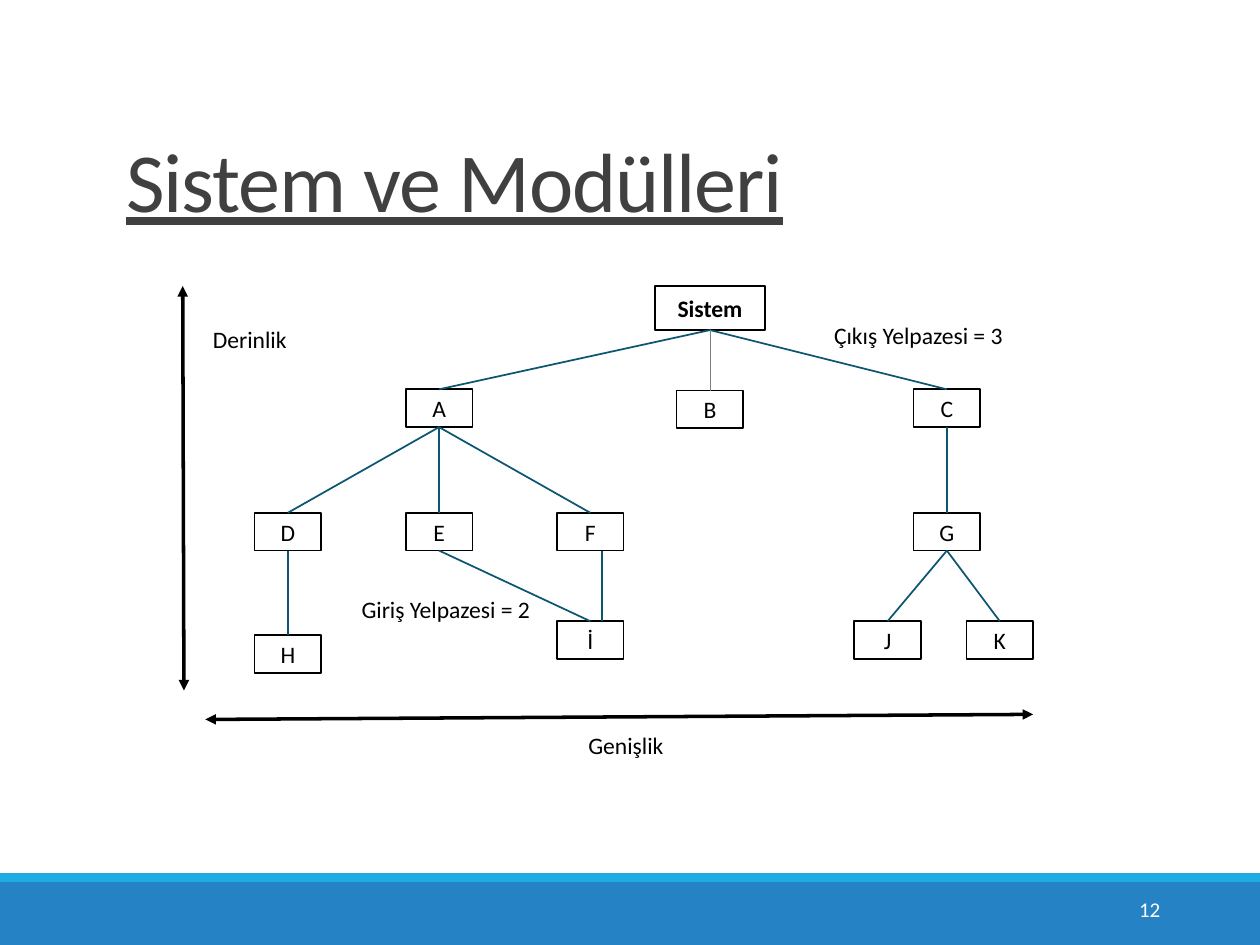
from lxml.etree import SubElement
from pptx import Presentation
from pptx.dml.color import RGBColor
from pptx.enum.shapes import MSO_CONNECTOR as Connector, MSO_SHAPE as Shape
from pptx.enum.text import MSO_ANCHOR as Anchor, PP_ALIGN as Align
from pptx.oxml.ns import qn
from pptx.util import Inches, Pt

BLACK = RGBColor(0x00, 0x00, 0x00)
WHITE = RGBColor(0xFF, 0xFF, 0xFF)
DARK_GRAY = RGBColor(0x40, 0x40, 0x40)
GRAY = RGBColor(0x80, 0x80, 0x80)
TEAL = RGBColor(0x0D, 0x56, 0x71)
BLUE = RGBColor(0x25, 0x83, 0xC5)
LIGHT_BLUE = RGBColor(0x1C, 0xAC, 0xE3)

FONT = "Calibri"
BOTTOM, TOP = 2, 0
NODE_WIDTH, NODE_HEIGHT = 0.53, 0.3

# Module name: left and top in inches
MODULES = {
    "A": (3.22, 3.09), "B": (5.37, 3.1), "C": (7.25, 3.09),
    "D": (2.02, 4.07), "E": (3.22, 4.07), "F": (4.42, 4.07), "G": (7.25, 4.07),
    "H": (2.02, 5.04), "İ": (4.42, 4.93), "J": (6.78, 4.93), "K": (7.67, 4.93),
}
CHILDREN = {"Sistem": "AC", "A": "DEF", "C": "G", "D": "H", "E": "İ", "G": "JK"}

# Text, left, top, width
LABELS = [
    ("Derinlik", 1.69, 2.55, 0.62),
    ("Genişlik", 4.67, 5.77, 0.63),
    ("Çıkış Yelpazesi = 3", 6.62, 2.52, 1.37),
    ("Giriş Yelpazesi = 2", 2.87, 4.69, 1.37),
]


def write_text(shape, text, size, color, bold=False, align=Align.LEFT,
               anchor=Anchor.MIDDLE, top_inset=0):
    frame = shape.text_frame
    frame.margin_left = frame.margin_right = frame.margin_bottom = 0
    frame.margin_top = Inches(top_inset)
    frame.vertical_anchor = anchor
    para = frame.paragraphs[0]
    para.text = text
    para.alignment = align
    font = para.font
    font.name, font.size, font.bold = FONT, Pt(size), bold
    font.color.rgb = color
    return para


def add_title(slide, text):
    title = slide.shapes.title
    title.left, title.top = Inches(1), Inches(1)
    title.width, title.height = Inches(8.17), Inches(0.83)
    para = write_text(title, text, 48, DARK_GRAY, anchor=Anchor.TOP, top_inset=0.02)
    para.font.underline = True
    para.runs[0]._r.get_or_add_rPr().set("spc", "-60")


def add_band(slide, top, height, color):
    band = slide.shapes.add_shape(Shape.RECTANGLE, 0, Inches(top),
                                  Inches(10), Inches(height))
    band.shadow.inherit = False
    band.fill.solid()
    band.fill.fore_color.rgb = color
    band.line.fill.background()


def add_node(slide, name, left, top, width=NODE_WIDTH, height=NODE_HEIGHT, bold=False):
    node = slide.shapes.add_shape(Shape.RECTANGLE, Inches(left), Inches(top),
                                  Inches(width), Inches(height))
    node.shadow.inherit = False
    node.fill.background()
    node.line.color.rgb = BLACK
    node.line.width = Pt(1)
    write_text(node, name, 13.5, BLACK, bold, Align.CENTER)
    return node


def add_label(slide, text, left, top, width, height=0.25, size=13.5, color=BLACK, **layout):
    box = slide.shapes.add_textbox(Inches(left), Inches(top), Inches(width), Inches(height))
    box.text_frame.word_wrap = False
    write_text(box, text, size, color, **layout)


def add_line(slide, start, end, color=TEAL, width=1):
    line = slide.shapes.add_connector(Connector.STRAIGHT, *map(Inches, start + end))
    line.line.color.rgb = color
    line.line.width = Pt(width)
    SubElement(line._element.spPr, qn("a:effectLst"))
    return line


def join_nodes(slide, parent, child, color=TEAL, width=1):
    line = add_line(slide, (0, 0), (1, 1), color, width)
    line.begin_connect(parent, BOTTOM)
    line.end_connect(child, TOP)


def add_double_arrow(slide, start, end):
    arrow = add_line(slide, start, end, BLACK, 2)
    outline = arrow.line._get_or_add_ln()
    for tag in ("a:headEnd", "a:tailEnd"):
        SubElement(outline, qn(tag), type="triangle")


def main():
    deck = Presentation()
    deck.slide_width, deck.slide_height = Inches(10), Inches(7.5)
    slide = deck.slides.add_slide(deck.slide_layouts[5])

    # Footer bands and title
    add_band(slide, 7, 0.5, BLUE)
    add_band(slide, 6.93, 0.07, LIGHT_BLUE)
    add_title(slide, "Sistem ve Modülleri")

    # Module tree
    nodes = {"Sistem": add_node(slide, "Sistem", 5.2, 2.27, 0.87, 0.35, bold=True)}
    for name, (left, top) in MODULES.items():
        nodes[name] = add_node(slide, name, left, top)
    for parent, children in CHILDREN.items():
        for child in children:
            join_nodes(slide, nodes[parent], nodes[child])
    join_nodes(slide, nodes["Sistem"], nodes["B"], GRAY, 0.5)
    add_line(slide, (4.78, 4.37), (4.78, 4.93))  # F to İ, right of the middle

    # Depth and width arrows
    add_double_arrow(slide, (1.45, 2.27), (1.46, 5.48))
    add_double_arrow(slide, (1.63, 5.71), (8.2, 5.67))

    # Labels and page number
    for text, left, top, width in LABELS:
        add_label(slide, text, left, top, width, anchor=Anchor.TOP, top_inset=0.03)
    add_label(slide, "12", 9.04, 7.1, 0.2, 0.23, 12, WHITE)

    deck.save("out.pptx")


if __name__ == "__main__":
    main()
